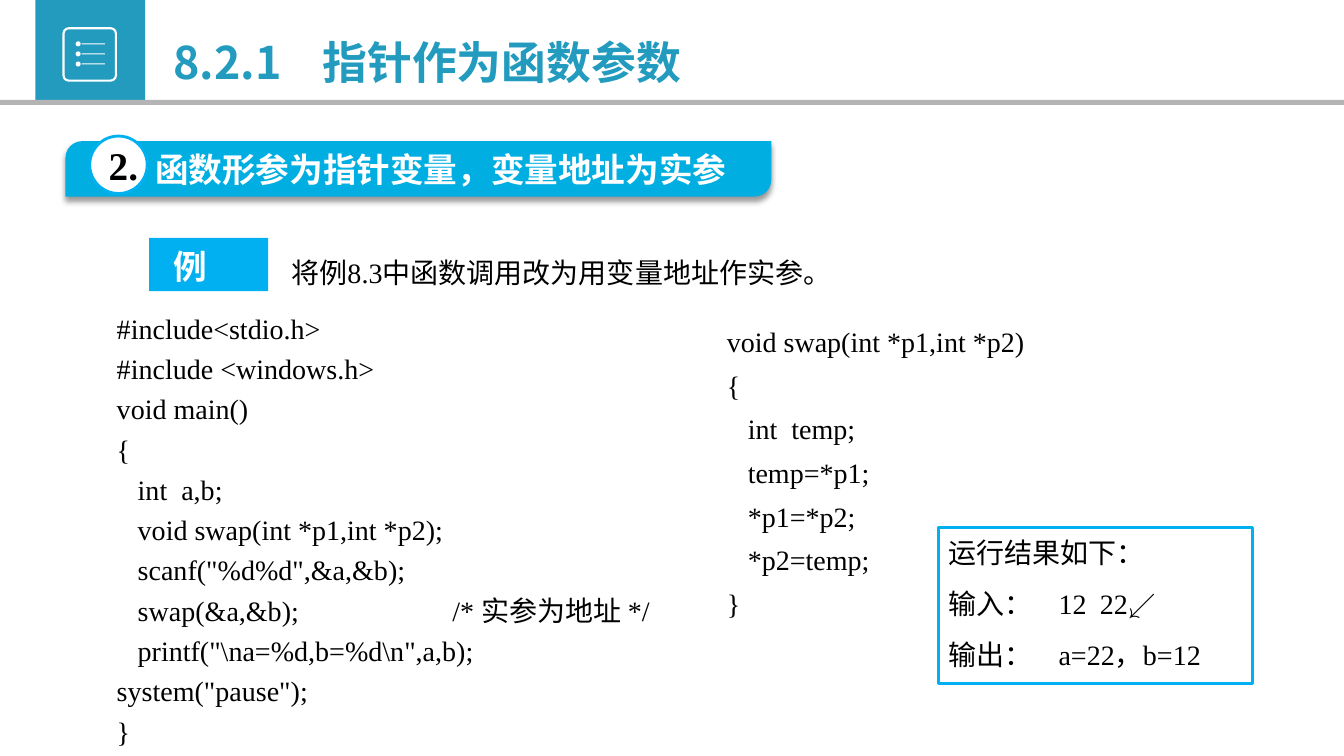
import pptx
import pptx.util
import pptx.dml.color
import pptx.enum.shapes
import pptx.enum.text
import pptx.oxml.ns
from lxml import etree

WIDE = pptx.util.Inches(13.33)
HIGH = pptx.util.Inches(7.5)
CELL = HIGH / 75
KIND = pptx.enum.shapes.MSO_SHAPE
SIDE = pptx.enum.text.PP_ALIGN
HOLD = pptx.enum.text.MSO_ANCHOR
TEAL, BLUE, SKY = "229BBF", "00AEE1", "00B0F0"
WHITE, BLACK, GREY = "FFFFFF", "000000", "B4B4B4"
SERIF, SANS = "Times New Roman", "Noto Sans CJK SC"

MAIN = r'''#include<stdio.h>
#include <windows.h>
void main()
{
   int  a,b;
   void swap(int *p1,int *p2);
   scanf("%d%d",&a,&b);
   swap(&a,&b);	/* 实参为地址 */
   printf("\na=%d,b=%d\n",a,b);
system("pause");
}'''.split("\n")

SWAP = '''void swap(int *p1,int *p2)
{
   int  temp;
   temp=*p1;
   *p1=*p2;
   *p2=temp;
}'''.split("\n")

RESULT = ["运行结果如下：", "输入：\t12\t22↙", "输出：\ta=22，b=12"]


def cells(*counts):
    return [round(count * CELL) for count in counts]


def color(code):
    return pptx.dml.color.RGBColor.from_string(code)


def add(parent, tag, **attrs):
    return etree.SubElement(parent, pptx.oxml.ns.qn(tag), attrs)


def shape(slide, kind, place, fill=None, line=None, width=1):
    item = slide.shapes.add_shape(kind, *cells(*place))
    item.shadow.inherit = False
    if fill:
        item.fill.solid()
        item.fill.fore_color.rgb = color(fill)
    else:
        item.fill.background()
    if line:
        item.line.color.rgb = color(line)
        item.line.width = pptx.util.Pt(width)
    else:
        item.line.fill.background()
    return item


def shade(item):
    effects = item._element.spPr.find(pptx.oxml.ns.qn("a:effectLst"))
    outer = add(effects, "a:outerShdw", blurRad="50800", dist="38100",
                dir="5400000", algn="t", rotWithShape="0")
    tint = add(outer, "a:srgbClr", val=BLACK)
    add(tint, "a:alpha", val="40000")


def write(item, lines, size, font=SERIF, ink=BLACK, bold=False,
          space=1, gap=0, stops=(), align=SIDE.LEFT, wrap=True):
    frame = item.text_frame
    frame.word_wrap = wrap
    for index, line in enumerate(lines):
        para = frame.add_paragraph() if index else frame.paragraphs[0]
        para.alignment = align
        para.line_spacing = space
        para.space_before = pptx.util.Pt(gap if index else 0)
        if "\t" in line:
            tabs = add(para._p.get_or_add_pPr(), "a:tabLst")
            for stop in cells(*stops):
                add(tabs, "a:tab", pos=str(stop), algn="l")
        run = para.add_run()
        run.text = line
        run.font.size = pptx.util.Pt(size)
        run.font.name = font
        run.font.bold = bold
        run.font.color.rgb = color(ink)
        add(run._r.get_or_add_rPr(), "a:ea", typeface=SANS)


def text(slide, place, lines, size, **style):
    box = slide.shapes.add_textbox(*cells(*place))
    write(box, lines, size, **style)
    return box


def header(slide):
    shape(slide, KIND.RECTANGLE, (3.5, 0, 10.9, 9.9), TEAL)
    frame = shape(slide, KIND.ROUNDED_RECTANGLE, (6.3, 2.8, 5.2, 5.2),
                  line=WHITE, width=1.5)
    frame.adjustments[0] = 0.1
    for row in range(3):
        top = 4.1 + row
        shape(slide, KIND.OVAL, (7.5, top, 0.5, 0.5), WHITE)
        shape(slide, KIND.RECTANGLE, (8.1, top + 0.2, 2.3, 0.1), WHITE)
    shape(slide, KIND.RECTANGLE, (0, 9.9, WIDE / CELL, 0.5), GREY)
    text(slide, (16.2, 3, 56, 6.4), ["8.2.1\t指针作为函数参数"], 32,
         font=SANS, ink=TEAL, bold=True, stops=[14.8])


def banner(slide):
    bar = shape(slide, KIND.ROUND_2_DIAG_RECTANGLE, (6.5, 14, 70, 5.5), BLUE)
    bar.adjustments[0] = 0.3
    bar.adjustments[1] = 0
    shade(bar)
    shape(slide, KIND.OVAL, (8.9, 13.5, 5.7, 5.7), WHITE, SKY, 2)
    text(slide, (9.8, 13.5, 5.1, 5.7), ["2."], 28, bold=True, wrap=False)
    text(slide, (14.4, 14.3, 60, 5), ["函数形参为指针变量，变量地址为实参"], 24,
         font="Calibri", ink=WHITE, bold=True)


def example(slide):
    shape(slide, KIND.RECTANGLE, (14.8, 23.6, 11.8, 5.3), SKY)
    text(slide, (16.2, 23.9, 9.9, 5.1), ["例"], 24,
         font="Noto Sans CJK JP", ink=WHITE, bold=True)
    note = text(slide, (28.2, 23.3, 56.7, 5.8),
                ["将例8.3中函数调用改为用变量地址作实参。"], 20, space=1.5)
    frame = note.text_frame
    frame.margin_left = frame.margin_right = cells(0.7)[0]
    frame.margin_top = frame.margin_bottom = cells(0.4)[0]


def code(slide):
    text(slide, (10.6, 29.7, 58.4, 45.1), MAIN, 20, space=1.2, stops=[33.3])
    text(slide, (71.1, 30.7, 35.8, 31.2), SWAP, 20, space=1.3)


def result(slide):
    box = shape(slide, KIND.RECTANGLE, (93.1, 52.3, 31.1, 15.5),
                line=SKY, width=2.25)
    frame = box.text_frame
    frame.vertical_anchor = HOLD.MIDDLE
    frame.margin_top, frame.margin_bottom = cells(0.1, 0.9)
    write(box, RESULT, 20, space=1.1, gap=10, stops=[10.9, 15],
          align=SIDE.JUSTIFY)


def main():
    deck = pptx.Presentation()
    deck.slide_width, deck.slide_height = WIDE, HIGH
    slide = deck.slides.add_slide(deck.slide_layouts[6])
    for part in (header, banner, example, code, result):
        part(slide)
    deck.save("out.pptx")


if __name__ == "__main__":
    main()
